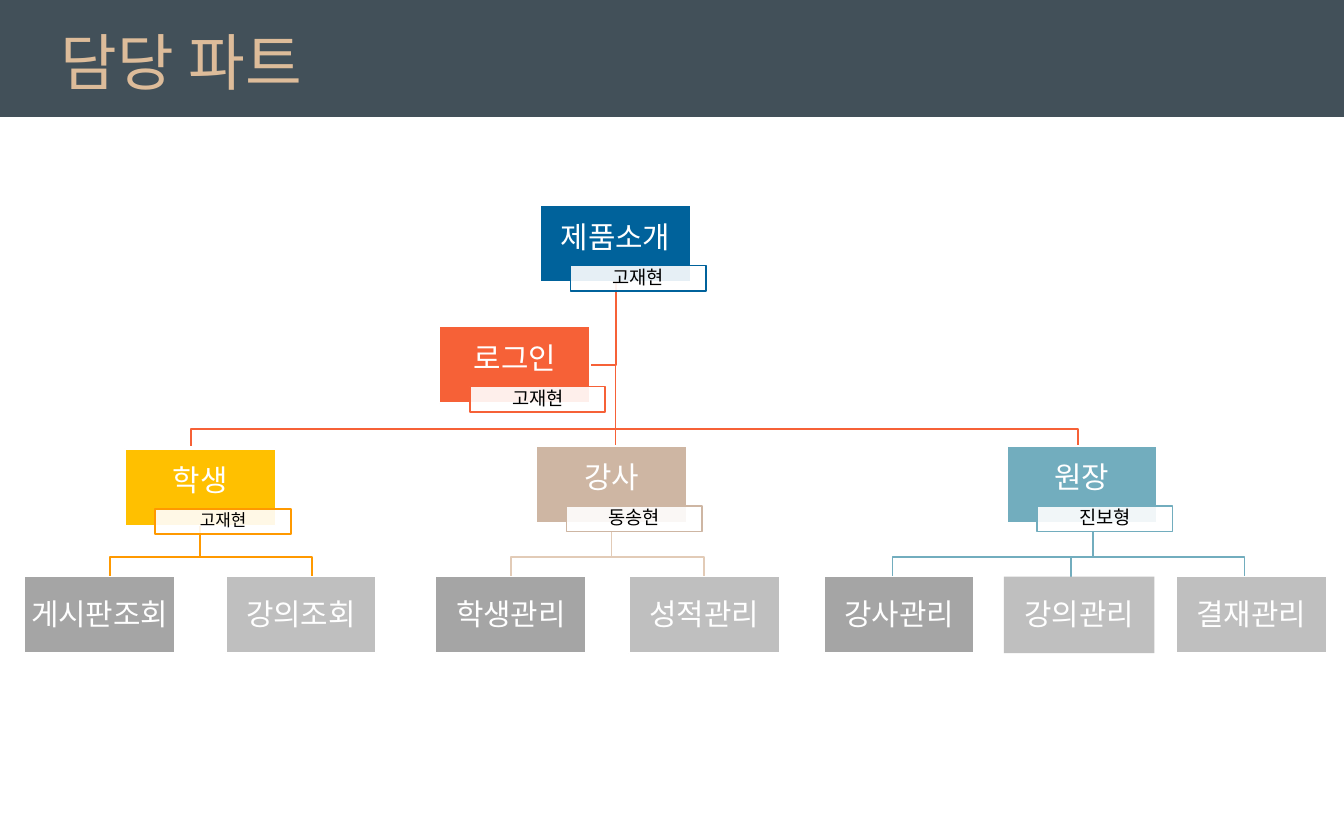
from pptx import Presentation
from pptx.dml.color import RGBColor
from pptx.enum.shapes import MSO_CONNECTOR, MSO_SHAPE
from pptx.enum.text import MSO_ANCHOR, PP_ALIGN
from pptx.oxml.ns import qn
from pptx.util import Inches, Pt
from lxml import etree

RECT, LINE = MSO_SHAPE.RECTANGLE, MSO_CONNECTOR.STRAIGHT
MID, TOP = MSO_ANCHOR.MIDDLE, MSO_ANCHOR.TOP
MID_X, LEFT = PP_ALIGN.CENTER, PP_ALIGN.LEFT

THEME = {
    "bar": "425059", "title": "DDBC9A", "white": "FFFFFF", "black": "000000",
    "blue": "00629B", "red": "F66137", "gold": "FFC000", "amber": "FF9900",
    "tan": "CEB6A3", "sand": "E2CBB7", "teal": "72ADBE",
    "dark": "A5A5A5", "light": "BFBFBF",
    "head_pt": 33, "box_pt": 16, "tag_pt": 10, "tag_small": 9,
    "head_font": "Roboto", "body_font": "Calibri",
}

# Content: name, owner, left, top, fill, tag line, tag size
TITLE = "담당 파트"
ROOT = ("제품소개", "고재현", 4.02, 1.53, "blue", "blue", "tag_pt")
LOGIN = ("로그인", "고재현", 3.27, 2.43, "red", "red", "tag_pt")
# Each role adds: branch colour, branch x, branch top, leaves (name, left)
ROLES = [
    (("학생", "고재현", 0.93, 3.34, "gold", "amber", "tag_small"),
     "amber", 1.49, 3.91, [("게시판조회", 0.18), ("강의조회", 1.68)]),
    (("강사", "동송현", 3.99, 3.32, "tan", "tan", "tag_pt"),
     "sand", 4.55, 3.96, [("학생관리", 3.24), ("성적관리", 4.68)]),
    (("원장", "진보형", 7.49, 3.32, "teal", "teal", "tag_pt"),
     "teal", 8.13, 3.95,
     [("강사관리", 6.13), ("강의관리", 7.47), ("결재관리", 8.75)]),
]

BOX_W, BOX_H = 1.12, 0.57
TAG_W, TAG_H, TAG_DX, TAG_DY = 1.01, 0.19, 0.225, 0.445
TRUNK_X, TRUNK_Y = ROOT[2] + BOX_W / 2, ROOT[3] + BOX_H
ROLE_BUS, ROLE_TOP, LEAF_BUS, LEAF_TOP = 3.19, 3.32, 4.145, 4.29

deck = Presentation()
deck.slide_width, deck.slide_height = Inches(10), Inches(6.25)
slide = deck.slides.add_slide(deck.slide_layouts[6])
shapes = slide.shapes


def color(key):
    return RGBColor.from_string(THEME[key])


def write(shape, text, size, ink, pad, font="body_font", align=MID_X,
          anchor=MID, space=0.9):
    frame = shape.text_frame
    frame.word_wrap = True
    frame.vertical_anchor = anchor
    (frame.margin_left, frame.margin_top,
     frame.margin_right, frame.margin_bottom) = map(Inches, pad)
    frame.text = text
    para = frame.paragraphs[0]
    para.alignment, para.line_spacing = align, space
    face = para.runs[0].font
    face.size, face.name = Pt(THEME[size]), THEME[font]
    face.color.rgb = color(ink)
    props = para.runs[0].font._element
    etree.SubElement(props, qn("a:ea")).set("typeface", THEME[font])


def rect(x, y, w, h, fill, line=None, width=1.0):
    shape = shapes.add_shape(RECT, *map(Inches, (x, y, w, h)))
    shape.shadow.inherit = False
    shape.fill.solid()
    shape.fill.fore_color.rgb = color(fill)
    if line:
        shape.line.color.rgb = color(line)
        shape.line.width = Pt(width)
    else:
        shape.line.fill.background()
    return shape


def bend(points, hue):
    spots = [(Inches(x), Inches(y)) for x, y in points]
    build = shapes.build_freeform(*spots[0], scale=1.0)
    build.add_line_segments(spots[1:], close=False)
    shape = build.convert_to_shape()
    shape.shadow.inherit = False
    shape.fill.background()
    shape.line.color.rgb = color(hue)
    shape.line.width = Pt(1)


def straight(x, top, end, hue, width):
    wire = shapes.add_connector(LINE, *map(Inches, (x, top, x, end)))
    wire.line.color.rgb = color(hue)
    wire.line.width = Pt(width)
    etree.SubElement(wire._element.spPr, qn("a:effectLst"))
    return wire


def node(name, owner, x, y, fill, edge, size):
    box = rect(x, y, BOX_W, BOX_H, fill, "white")
    write(box, name, "box_pt", "white", (0.02, 0.02, 0.02, 0.1))
    tag = rect(x + TAG_DX, y + TAG_DY, TAG_W, TAG_H, "white", edge)
    tint = tag.fill._xPr.find(qn("a:solidFill"))[0]
    etree.SubElement(tint, qn("a:alpha")).set("val", "90000")
    write(tag, owner, size, "black", (0.04, 0.01, 0.04, 0.01))
    return box


# Header
rect(0, 0, 10, 0.87, "bar")
head = shapes.add_textbox(*map(Inches, (0.38, 0.14, 3.38, 0.59)))
write(head, TITLE, "head_pt", "title", (0.07, 0.04, 0.07, 0.04),
      "head_font", LEFT, TOP, 1.0)

# Main branches
login_y = LOGIN[3] + BOX_H / 2
bend([(TRUNK_X, TRUNK_Y), (TRUNK_X, login_y), (LOGIN[2] + BOX_W, login_y)], "red")
for end in (1.42, 8.02):
    bend([(TRUNK_X, TRUNK_Y), (TRUNK_X, ROLE_BUS), (end, ROLE_BUS),
          (end, ROLE_TOP)], "red")
trunk = straight(TRUNK_X, TRUNK_Y, ROLE_TOP, "red", 1)

# Leaf branches, one bend per outer leaf
for role, hue, x, top, leaves in ROLES:
    for name, left in (leaves[0], leaves[-1]):
        end = left + BOX_W / 2 - (0.05 if hue == "teal" else 0)
        end += 0.08 if hue == "amber" else 0
        bend([(x, top), (x, LEAF_BUS), (end, LEAF_BUS), (end, LEAF_TOP)], hue)
straight(7.97, LEAF_BUS, LEAF_TOP, "teal", 0.75)

# Boxes
trunk.begin_connect(node(*ROOT), 2)
node(*LOGIN)
for role, hue, x, top, leaves in ROLES:
    node(*role)
    for i, (name, left) in enumerate(leaves):
        inner = 0 < i < len(leaves) - 1
        leaf = rect(left, LEAF_TOP, BOX_W, BOX_H, "light" if i else "dark",
                    None if inner else "white")
        write(leaf, name, "box_pt", "white", (0.02, 0.11, 0.02, 0.1))

deck.save("out.pptx")
